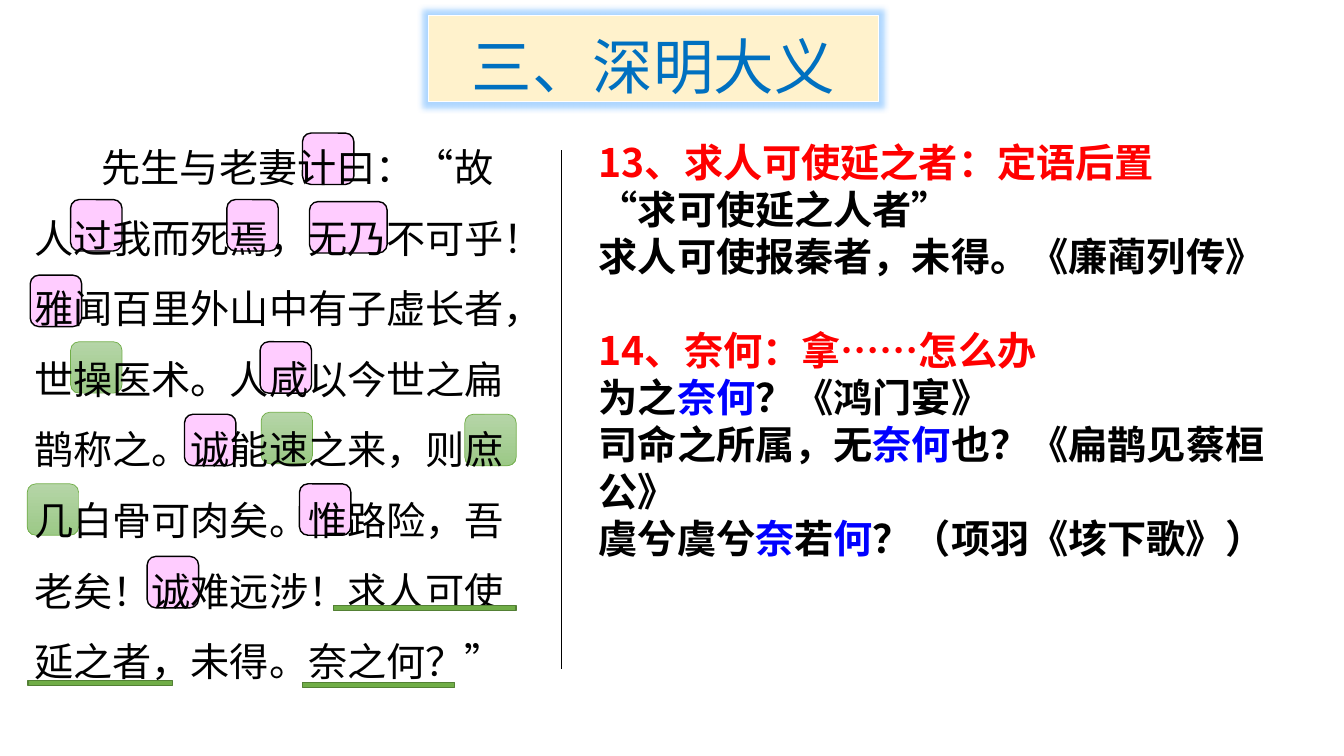
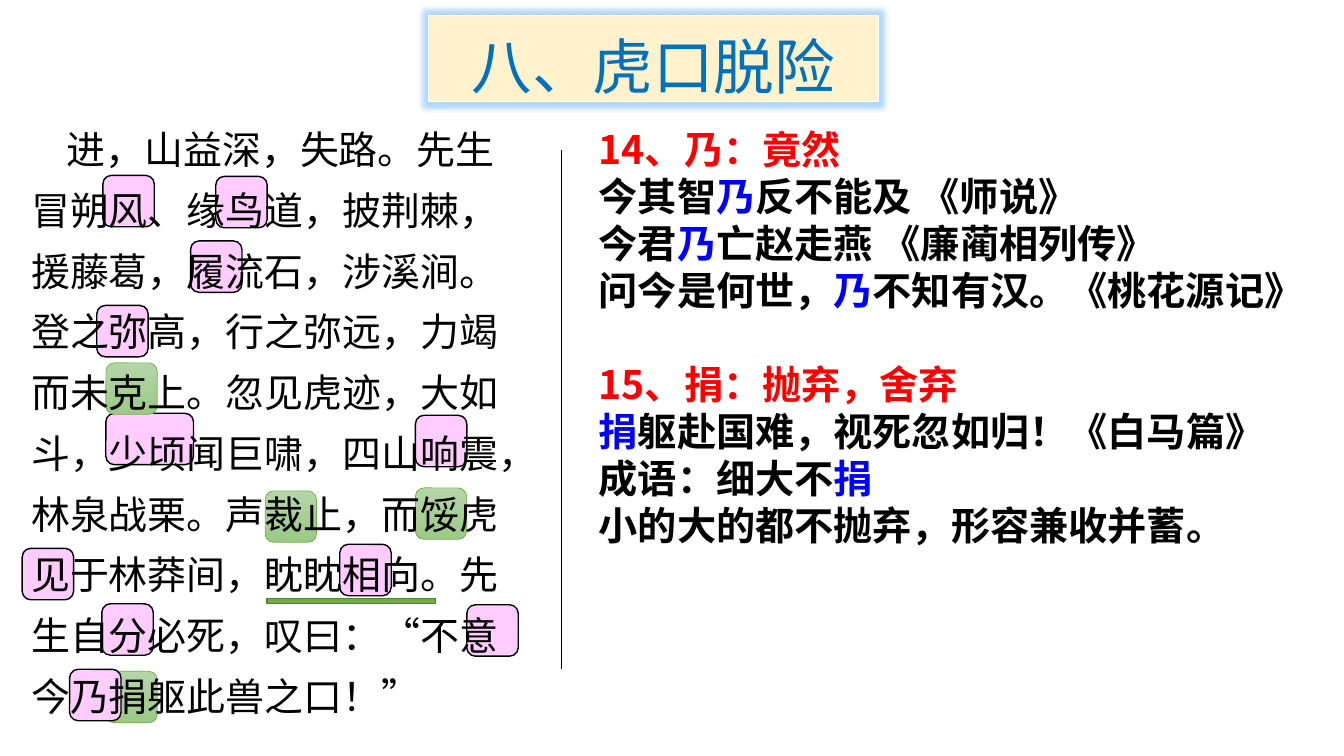
from dataclasses import dataclass

from lxml import etree
from pptx import Presentation
from pptx.dml.color import RGBColor as Rgb
from pptx.enum.shapes import MSO_CONNECTOR as Connector, MSO_SHAPE as Preset
from pptx.enum.text import MSO_ANCHOR as Anchor, MSO_AUTO_SIZE as AutoSize, PP_ALIGN as Align
from pptx.oxml.ns import qn
from pptx.util import Inches, Pt


@dataclass(frozen=True)
class Theme:
    font: str = "Noto Sans CJK SC"
    black: str = "000000"
    white: str = "FFFFFF"
    title_text: str = "0070C0"
    title_fill: str = "FFF2CC"
    title_glow: str = "4DA6FF"
    heading: str = "FF0000"
    keyword: str = "0000FF"
    pink: str = "FFCCFF"
    green: str = "70AD47"
    green_edge: str = "538035"
    green_top: str = "B5D5A7"
    green_bottom: str = "9CC987"
    title_size: float = 43.2
    glossary_size: float = 28
    group_gap: float = 33.6


THEME = Theme()
MARK_SIZE = 0.51
TITLE_BOX = (4.25, 0.15, 4.46, 0.86)


@dataclass
class Lesson:
    title: str
    passage: str
    passage_box: tuple
    passage_size: float
    line_spacing: float
    first_indent: float
    marks: list        # (colour name, left, top[, width]), from back to front
    underlines: list   # (left, top, width)
    glossary_box: tuple
    glossary: list     # (heading, lines); [brackets] enclose keywords


LESSONS = [
    Lesson(
        title="三、深明大义",
        passage="先生与老妻计曰：“故人过我而死焉，无乃不可乎！雅闻百里外山中有子虚长者，"
                "世操医术。人咸以今世之扁鹊称之。诚能速之来，则庶几白骨可肉矣。惟路险，"
                "吾老矣！诚难远涉！求人可使延之者，未得。奈之何？”",
        passage_box=(-0.01, 1.14, 5.19, 6.44),
        passage_size=28, line_spacing=1.5, first_indent=0.67,
        marks=[
            ("pink", 1.46, 5.52), ("pink", 2.97, 4.8), ("green", 0.27, 4.8),
            ("green", 4.61, 4.11), ("green", 2.59, 4.09), ("pink", 1.83, 4.11),
            ("pink", 2.58, 3.39), ("green", 0.7, 3.39), ("pink", 0.3, 2.73),
            ("pink", 3.07, 2, 0.77), ("pink", 2.25, 1.98), ("pink", 0.7, 1.98),
            ("pink", 3, 1.32),
        ],
        underlines=[(3.31, 6.01, 1.81), (0.28, 6.75, 1.43), (3, 6.77, 1.51)],
        glossary_box=(5.84, 1.32, 7.5, 4.34),
        glossary=[
            ("13、求人可使延之者：定语后置",
             ["“求可使延之人者”", "求人可使报秦者，未得。《廉蔺列传》"]),
            ("14、奈何：拿……怎么办",
             ["为之[奈何]？《鸿门宴》", "司命之所属，无[奈何]也？《扁鹊见蔡桓公》",
              "虞兮虞兮[奈]若[何]？（项羽《垓下歌》）"]),
        ],
    ),
    Lesson(
        title="八、虎口脱险",
        passage="进，山益深，失路。先生冒朔风、缘鸟道，披荆棘，援藤葛，履流石，涉溪涧。"
                "登之弥高，行之弥远，力竭而未克上。忽见虎迹，大如斗，少顷闻巨啸，四山响震，"
                "林泉战栗。声裁止，而馁虎见于林莽间，眈眈相向。先生自分必死，"
                "叹曰：“不意今乃捐躯此兽之口！”",
        passage_box=(-0.04, 1.06, 5.38, 6.44),
        passage_size=27.8, line_spacing=1.3, first_indent=0.35,
        marks=[
            ("green", 1.05, 6.66), ("pink", 0.69, 6.64), ("pink", 4.63, 6),
            ("pink", 1.01, 5.99), ("pink", 3.37, 5.4), ("pink", 0.22, 5.44),
            ("green", 4.12, 4.84), ("green", 2.63, 4.87), ("pink", 4.12, 4.12),
            ("pink", 1.05, 4.1, 0.87), ("green", 1.05, 3.6), ("pink", 0.96, 3.03),
            ("pink", 1.89, 2.39), ("pink", 2.14, 1.75), ("pink", 1.02, 1.74),
        ],
        underlines=[(2.65, 5.94, 1.67)],
        glossary_box=(5.84, 1.19, 7.36, 4.81),
        glossary=[
            ("14、乃：竟然",
             ["今其智[乃]反不能及 《师说》", "今君[乃]亡赵走燕 《廉蔺相列传》",
              "问今是何世，[乃]不知有汉。《桃花源记》"]),
            ("15、捐：抛弃，舍弃",
             ["[捐]躯赴国难，视死忽如归！《白马篇》", "成语：细大不[捐]",
              "小的大的都不抛弃，形容兼收并蓄。"]),
        ],
    ),
]


def inches(box):
    return [Inches(value) for value in box]


def style_run(run, size, colour, bold=False):
    font = run.font
    font.size, font.bold, font.name = Pt(size), bold, THEME.font
    font.color.rgb = Rgb.from_string(colour)
    properties = run._r.get_or_add_rPr()
    properties.set("lang", "zh-CN")
    etree.SubElement(properties, qn("a:ea"), typeface=THEME.font)


def style_shape(shape, fill, line, line_width):
    shape.shadow.inherit = False
    shape.fill.solid()
    shape.fill.fore_color.rgb = Rgb.from_string(fill)
    shape.line.color.rgb = Rgb.from_string(line)
    shape.line.width = Pt(line_width)


def add_text_frame(slide, box):
    frame = slide.shapes.add_textbox(*inches(box)).text_frame
    frame.word_wrap = True
    frame.vertical_anchor = Anchor.TOP
    return frame


def place_title(slide, text, box):
    title = slide.shapes.title
    title.left, title.top, title.width, title.height = inches(box)
    style_shape(title, THEME.title_fill, THEME.white, 0.5)
    # Soft glow around the title band
    effects = title._element.spPr.find(qn("a:effectLst"))
    glow = etree.SubElement(effects, qn("a:glow"), rad=str(Pt(8)))
    colour = etree.SubElement(glow, qn("a:srgbClr"), val=THEME.title_glow)
    etree.SubElement(colour, qn("a:alpha"), val="45000")

    frame = title.text_frame
    frame.text = text
    frame.word_wrap = True
    frame.auto_size = AutoSize.NONE
    frame.vertical_anchor = Anchor.MIDDLE
    paragraph = frame.paragraphs[0]
    paragraph.alignment = Align.CENTER
    paragraph.line_spacing = 1.2
    style_run(paragraph.runs[0], THEME.title_size, THEME.title_text)


def add_mark(slide, colour, left, top, width=MARK_SIZE):
    box = inches((left, top, width, MARK_SIZE))
    mark = slide.shapes.add_shape(Preset.ROUNDED_RECTANGLE, *box)
    if colour == "pink":
        style_shape(mark, THEME.pink, THEME.black, 1)
        return
    style_shape(mark, THEME.green, THEME.green, 0.5)
    mark.fill.gradient()
    mark.fill.gradient_angle = 270
    for stop, shade in zip(mark.fill.gradient_stops, (THEME.green_top, THEME.green_bottom)):
        stop.color.rgb = Rgb.from_string(shade)


def add_underline(slide, left, top, width):
    bar = slide.shapes.add_shape(Preset.RECTANGLE, *inches((left, top, width, 0.05)))
    style_shape(bar, THEME.green, THEME.green_edge, 1)


def add_passage(slide, lesson):
    frame = add_text_frame(slide, lesson.passage_box)
    frame.text = lesson.passage
    paragraph = frame.paragraphs[0]
    paragraph.line_spacing = lesson.line_spacing
    properties = paragraph._p.get_or_add_pPr()
    properties.set("marL", str(Inches(0.25)))
    properties.set("indent", str(Inches(lesson.first_indent)))
    style_run(paragraph.runs[0], lesson.passage_size, THEME.black)


def add_divider(slide):
    ends = inches((5.57, 1.49, 5.57, 6.64))
    divider = slide.shapes.add_connector(Connector.STRAIGHT, *ends)
    divider.line.color.rgb = Rgb.from_string(THEME.black)
    divider.line.width = Pt(0.5)
    etree.SubElement(divider._element.spPr, qn("a:effectLst"))


def add_glossary(slide, box, groups):
    frame = add_text_frame(slide, box)
    paragraph = frame.paragraphs[0]
    for number, (heading, lines) in enumerate(groups):
        if number:
            paragraph = frame.add_paragraph()
            paragraph.space_before = Pt(THEME.group_gap)
        paragraph.text = heading
        style_run(paragraph.runs[0], THEME.glossary_size, THEME.heading, bold=True)
        for line in lines:
            paragraph = frame.add_paragraph()
            # Odd pieces lie inside brackets
            for index, piece in enumerate(line.replace("]", "[").split("[")):
                if piece:
                    run = paragraph.add_run()
                    run.text = piece
                    colour = THEME.keyword if index % 2 else THEME.black
                    style_run(run, THEME.glossary_size, colour, bold=True)


def add_lesson_slide(presentation, lesson):
    slide = presentation.slides.add_slide(presentation.slide_layouts[5])
    place_title(slide, lesson.title, TITLE_BOX)
    # Highlights lie behind the passage
    for mark in lesson.marks:
        add_mark(slide, *mark)
    add_passage(slide, lesson)
    add_divider(slide)
    add_glossary(slide, lesson.glossary_box, lesson.glossary)
    for underline in lesson.underlines:
        add_underline(slide, *underline)


def main():
    presentation = Presentation()
    presentation.slide_width, presentation.slide_height = inches((13.33, 7.5))
    for lesson in LESSONS:
        add_lesson_slide(presentation, lesson)
    presentation.save("out.pptx")


if __name__ == "__main__":
    main()
